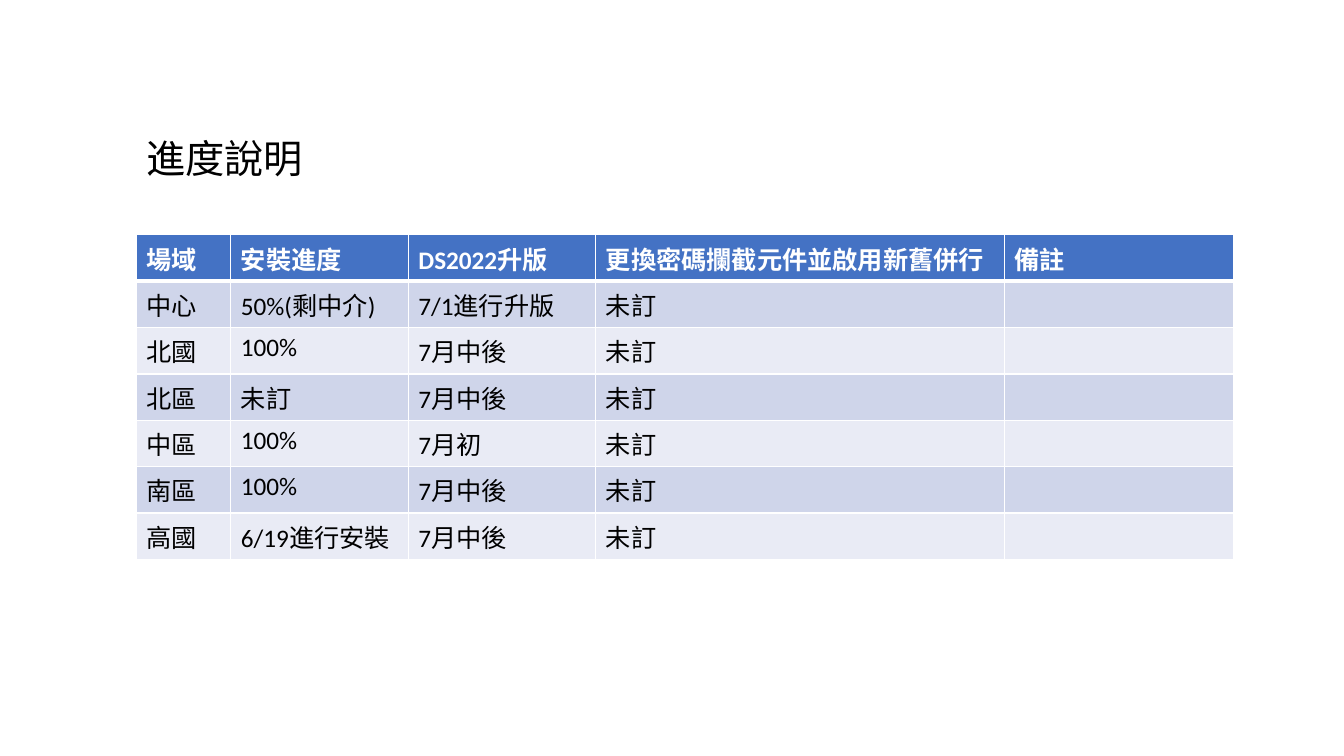
from lxml.etree import SubElement
from pptx import Presentation
from pptx.dml.color import RGBColor
from pptx.oxml.ns import qn
from pptx.util import Inches, Pt

COLORS = {
    "white": "FFFFFF",
    "black": "000000",
    "head": "4472C4",
    "odd": "CFD5EA",
    "even": "E9EBF5",
}
WIDTHS = [0.94, 1.76, 1.86, 4.05, 2.28]
ROWS = [
    ["場域", "安裝進度", "DS2022升版", "更換密碼攔截元件並啟用新舊併行", "備註"],
    ["中心", "50%(剩中介)", "7/1進行升版", "未訂", ""],
    ["北國", "100%", "7月中後", "未訂", ""],
    ["北區", "未訂", "7月中後", "未訂", ""],
    ["中區", "100%", "7月初", "未訂", ""],
    ["南區", "100%", "7月中後", "未訂", ""],
    ["高國", "6/19進行安裝", "7月中後", "未訂", ""],
]


def write(frame, text, size=18, color="black", bold=False, font="Calibri", spacing=None):
    """Put formatted text into the first paragraph of a frame."""
    para = frame.paragraphs[0]
    if spacing:
        para.line_spacing = spacing
    if text:
        run = para.add_run()
        run.text = text
        run.font.name = font
        run.font.size = Pt(size)
        run.font.bold = bold
        run.font.color.rgb = RGBColor.from_string(COLORS[color])


class Deck:
    """Hold the style and the current slide."""

    def __init__(self):
        """Open a wide deck with one blank slide."""
        self.deck = Presentation()
        self.deck.slide_width = Inches(13.33)
        self.deck.slide_height = Inches(7.5)
        self.slide = self.deck.slides.add_slide(self.deck.slide_layouts[6])

    def text(self, left, top, width, height, words, **style):
        """Add a wrapped text box."""
        box = self.slide.shapes.add_textbox(
            Inches(left), Inches(top), Inches(width), Inches(height))
        box.text_frame.word_wrap = True
        write(box.text_frame, words, **style)

    def edge(self, cell, side, width):
        """Draw a white border on one side of a cell."""
        line = SubElement(cell._tc.get_or_add_tcPr(), qn(f"a:ln{side}"), w=str(Pt(width)))
        fill = SubElement(line, qn("a:solidFill"))
        SubElement(fill, qn("a:srgbClr"), val=COLORS["white"])

    def table(self, left, top, widths, height, rows):
        """Add a banded table with a header row."""
        grid = self.slide.shapes.add_table(
            len(rows), len(widths), Inches(left), Inches(top),
            Inches(sum(widths)), Inches(height * len(rows))).table
        for col, width in zip(grid.columns, widths):
            col.width = Inches(width)
        for r, row in enumerate(rows):
            grid.rows[r].height = Inches(height)
            band = "head" if r == 0 else "odd" if r % 2 else "even"
            for c, words in enumerate(row):
                cell = grid.cell(r, c)
                for side in "LRTB":
                    heavy = (r, side) in [(0, "B"), (1, "T")]
                    self.edge(cell, side, 3 if heavy else 1)
                cell.fill.solid()
                cell.fill.fore_color.rgb = RGBColor.from_string(COLORS[band])
                write(cell.text_frame, words, bold=r == 0,
                      color="white" if r == 0 else "black")

    def save(self):
        """Save the deck."""
        self.deck.save("out.pptx")


def main():
    """Build the progress slide."""
    deck = Deck()
    deck.text(1.35, 1.34, 11.21, 5.78, "進度說明", size=28, spacing=0.9)
    deck.table(1.35, 2.33, WIDTHS, 0.46, ROWS)
    deck.save()


if __name__ == "__main__":
    main()
